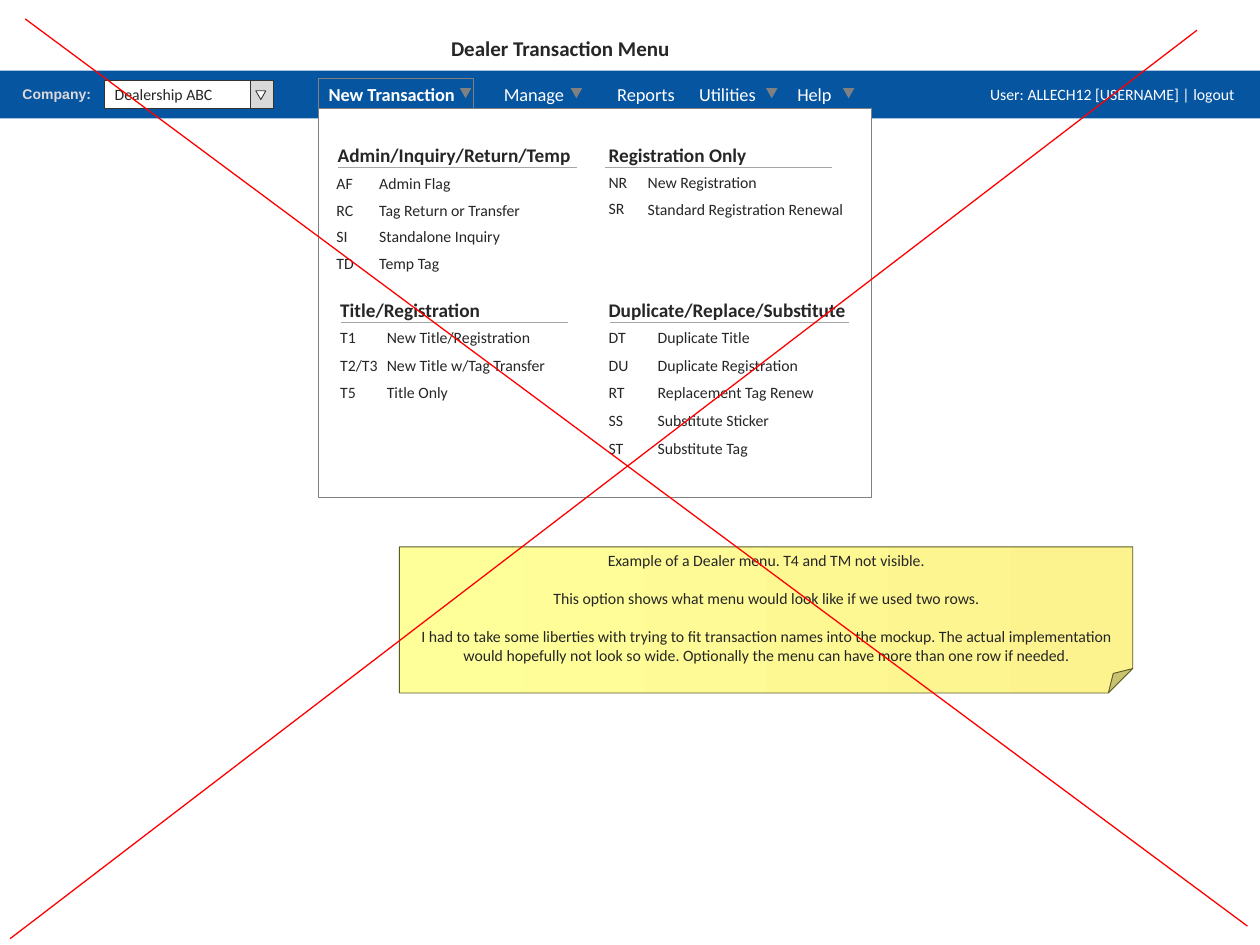
from dataclasses import dataclass

from lxml.etree import SubElement
from pptx import Presentation
from pptx.dml.color import RGBColor
from pptx.enum.shapes import MSO_CONNECTOR, MSO_SHAPE
from pptx.enum.text import MSO_ANCHOR, MSO_AUTO_SIZE, PP_ALIGN
from pptx.oxml.ns import qn
from pptx.util import Inches, Pt


@dataclass(frozen=True)
class Theme:
    font: str = "Calibri"
    label_font: str = "Arial"
    bar: str = "0655A1"
    white: str = "FFFFFF"
    ink: str = "262626"
    label: str = "DFD9D9"
    outline: str = "333333"
    button: str = "D9D9D9"
    frame: str = "808080"
    rule: str = "A6A6A6"
    strike: str = "FF0000"
    note_start: str = "FFFF99"
    note_end: str = "FCF38E"
    note_edge: str = "5B5A23"
    title_size: float = 12
    heading_size: float = 11
    nav_size: float = 10.5
    text_size: float = 9
    label_size: float = 8
    text_line: float = 11


theme = Theme()
prs = Presentation()
prs.slide_width, prs.slide_height = Inches(10), Inches(7.5)
slide = prs.slides.add_slide(prs.slide_layouts[4])
shapes = slide.shapes
title, *menu_lists = slide.placeholders


def add_panel(kind, left, top, width, height, fill=None, edge=None):
    panel = shapes.add_shape(kind, Inches(left), Inches(top), Inches(width), Inches(height))
    panel.shadow.inherit = False
    if fill:
        panel.fill.solid()
        panel.fill.fore_color.rgb = RGBColor.from_string(fill)
    else:
        panel.fill.background()
    if edge:
        panel.line.color.rgb = RGBColor.from_string(edge)
        panel.line.width = Pt(0.5)
    else:
        panel.line.fill.background()
    return panel


def write(holder, lines, size, color=theme.ink, bold=False, font=theme.font, align=PP_ALIGN.LEFT,
          anchor=MSO_ANCHOR.TOP, insets=(0.08, 0.04, 0.08, 0.04), gap=0):
    frame = holder.text_frame
    frame.word_wrap = True
    frame.auto_size = MSO_AUTO_SIZE.NONE
    frame.vertical_anchor = anchor
    frame.margin_left, frame.margin_top, frame.margin_right, frame.margin_bottom = map(Inches, insets)
    for index, line in enumerate(lines):
        paragraph = frame.add_paragraph() if index else frame.paragraphs[0]
        paragraph.alignment = align
        paragraph.space_before = Pt(gap if index else 0)
        properties = paragraph._p.get_or_add_pPr()
        properties.set("marL", "0")
        properties.set("indent", "0")
        SubElement(properties, qn("a:buNone"))
        run = paragraph.add_run()
        run.text = line
        run.font.name = font
        run.font.size = Pt(size)
        run.font.bold = bold
        run.font.color.rgb = RGBColor.from_string(color)


title.left, title.top, title.width, title.height = map(Inches, (3.5, 0.24, 1.95, 0.27))
write(title, ["Dealer Transaction Menu"], theme.title_size, bold=True)

add_panel(MSO_SHAPE.RECTANGLE, 0, 0.56, 10, 0.38, theme.bar)
bar_insets = (0.1, 0.05, 0.1, 0.05)
company_label = shapes.add_textbox(Inches(0.08), Inches(0.63), Inches(0.82), Inches(0.24))
write(company_label, ["Company:"], theme.label_size, theme.label, True, theme.label_font, insets=bar_insets)

navigation = [("New Transaction", 2.51, 1.3, 3.65), ("Manage", 3.9, 0.75, 4.53),
              ("Reports", 4.8, 0.75, None), ("Utilities", 5.45, 0.75, 6.08), ("Help", 6.23, 0.6, 6.69)]
for name, left, width, arrow_left in navigation:
    menu = shapes.add_textbox(Inches(left), Inches(0.6), Inches(width), Inches(0.29))
    write(menu, [name], theme.nav_size, theme.white, name == "New Transaction",
          anchor=MSO_ANCHOR.MIDDLE, insets=bar_insets)
    if arrow_left is None:
        continue
    outline = shapes.build_freeform(Inches(arrow_left), Inches(0.7))
    outline.add_line_segments([(Inches(arrow_left + 0.09), Inches(0.7)),
                               (Inches(arrow_left + 0.045), Inches(0.78))])
    menu_arrow = outline.convert_to_shape()
    menu_arrow.shadow.inherit = False
    menu_arrow.fill.solid()
    menu_arrow.fill.fore_color.rgb = RGBColor.from_string(theme.frame)
    menu_arrow.line.fill.background()

company = add_panel(MSO_SHAPE.RECTANGLE, 0.83, 0.64, 1.28, 0.22, theme.white, theme.outline)
write(company, ["Dealership ABC"], theme.text_size, anchor=MSO_ANCHOR.MIDDLE,
      insets=(0.08, 0.04, 0.18, 0.04))
add_panel(MSO_SHAPE.RECTANGLE, 1.99, 0.64, 0.18, 0.22, theme.button, theme.outline)
company_arrow = add_panel(MSO_SHAPE.ISOSCELES_TRIANGLE, 2.03, 0.72, 0.08, 0.07, theme.white, theme.outline)
company_arrow.rotation = 180

user = shapes.add_textbox(Inches(7.76), Inches(0.6), Inches(2.22), Inches(0.29))
write(user, ["User: ALLECH12 [USERNAME] | logout"], theme.text_size, theme.white,
      anchor=MSO_ANCHOR.MIDDLE, insets=bar_insets)

add_panel(MSO_SHAPE.RECTANGLE, 2.53, 0.86, 4.39, 3.09, theme.white, theme.frame)
add_panel(MSO_SHAPE.RECTANGLE, 2.53, 0.62, 1.23, 0.24, edge=theme.frame)

sections = [
    ("Admin/Inquiry/Return/Temp", 2.6, 1.1, 2.59, 1.34, 0.34, 15.4, 2.68, 1.9,
     [("AF", "Admin Flag"), ("RC", "Tag Return or Transfer"),
      ("SI", "Standalone Inquiry"), ("TD", "Temp Tag")]),
    ("Registration Only", 4.75, 1.1, 4.75, 1.33, 0.31, 15.4, 4.8, 1.8,
     [("NR", "New Registration"), ("SR", "Standard Registration Renewal")]),
    ("Title/Registration", 2.62, 2.33, 2.62, 2.56, 0.37, 16, 2.71, 1.8,
     [("T1", "New Title/Registration"), ("T2/T3", "New Title w/Tag Transfer"),
      ("T5", "Title Only")]),
    ("Duplicate/Replace/Substitute", 4.75, 2.33, 4.75, 2.56, 0.39, 16, 4.84, 1.9,
     [("DT", "Duplicate Title"), ("DU", "Duplicate Registration"),
      ("RT", "Replacement Tag Renew"), ("SS", "Substitute Sticker"), ("ST", "Substitute Tag")]),
]
rules = []
for menu_list, section in zip(menu_lists, sections):
    name, left, top, list_left, list_top, name_offset, pitch, rule_left, rule_width, entries = section
    heading = shapes.add_textbox(Inches(left), Inches(top), Inches(2.08), Inches(0.26))
    write(heading, [name], theme.heading_size, bold=True)
    list_height = Inches(0.22 * len(entries))
    code_list = shapes.add_textbox(Inches(list_left), Inches(list_top), Inches(0.48), list_height)
    menu_list.left, menu_list.top = Inches(list_left + name_offset), Inches(list_top)
    menu_list.width, menu_list.height = Inches(1.8), list_height
    menu_list._element.getparent().append(menu_list._element)
    for column, lines in zip((code_list, menu_list), zip(*entries)):
        write(column, lines, theme.text_size, gap=pitch - theme.text_line)
    rule_top = top + 0.23
    rules.append((rule_left, rule_top, rule_left + rule_width, rule_top, theme.rule))

note = add_panel(MSO_SHAPE.FOLDED_CORNER, 3.17, 4.34, 5.82, 1.16, theme.note_start, theme.note_edge)
note.fill.gradient()
note.fill.gradient_angle = 0
for stop, color in zip(note.fill.gradient_stops, (theme.note_start, theme.note_end)):
    stop.color.rgb = RGBColor.from_string(color)
write(note, [
    "Example of a Dealer menu. T4 and TM not visible.",
    "This option shows what menu would look like if we used two rows.",
    "I had to take some liberties with trying to fit transaction names into the mockup. "
    "The actual implementation would hopefully not look so wide. "
    "Optionally the menu can have more than one row if needed.",
], theme.text_size, align=PP_ALIGN.CENTER, anchor=MSO_ANCHOR.MIDDLE, insets=bar_insets,
    gap=theme.text_line)

strikes = [(0.2, 0.15, 9.9, 7.35, theme.strike), (9.5, 0.24, 0.08, 7.45, theme.strike)]
for start_x, start_y, end_x, end_y, color in rules + strikes:
    stroke = shapes.add_connector(MSO_CONNECTOR.STRAIGHT, Inches(start_x), Inches(start_y),
                                  Inches(end_x), Inches(end_y))
    stroke.line.color.rgb = RGBColor.from_string(color)
    stroke.line.width = Pt(0.75)
    SubElement(stroke._element.spPr, qn("a:effectLst"))

prs.save("out.pptx")
